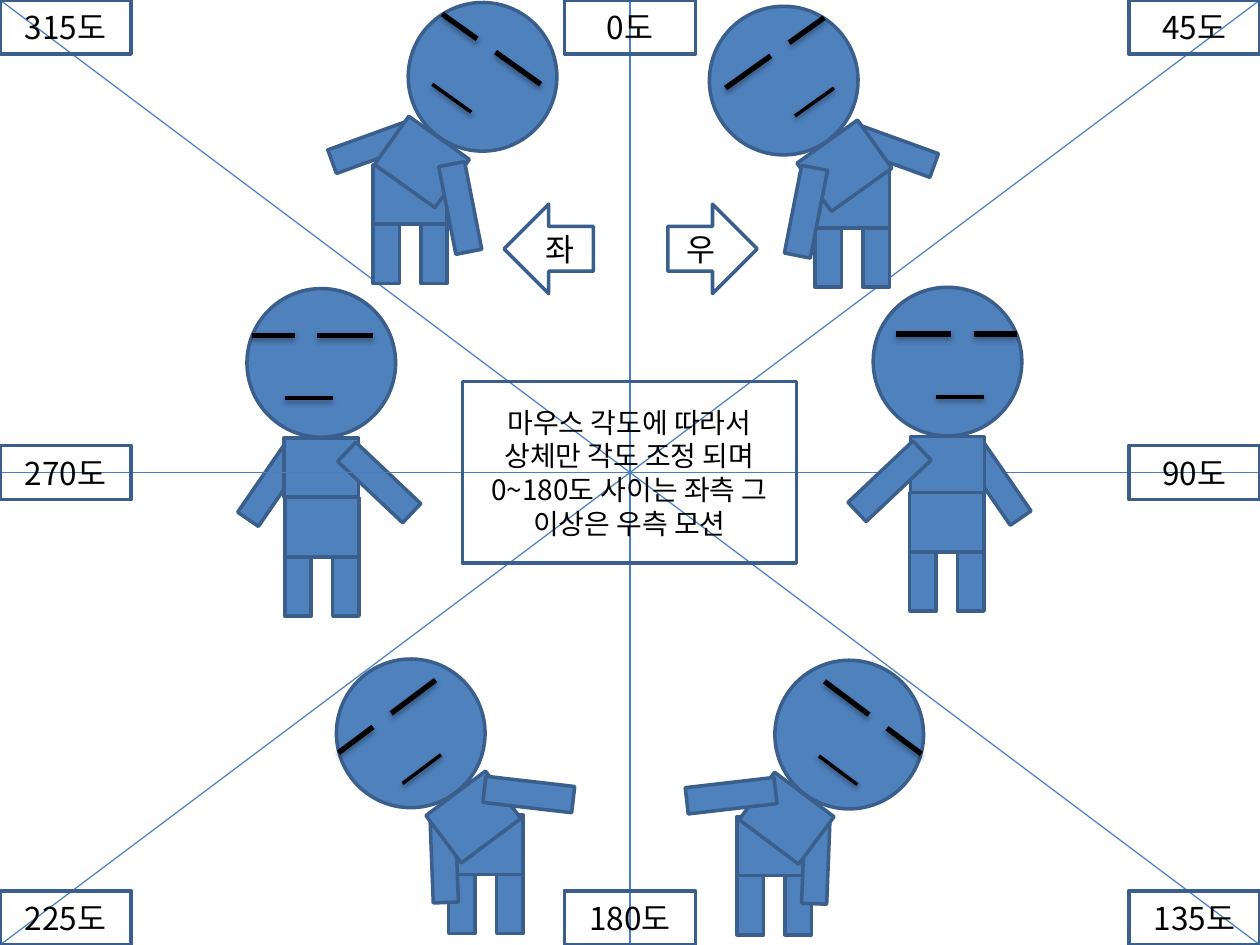
from dataclasses import dataclass
from math import cos, radians, sin

from lxml.etree import SubElement
from pptx import Presentation
from pptx.dml.color import RGBColor
from pptx.enum.shapes import MSO_CONNECTOR, MSO_SHAPE
from pptx.enum.text import MSO_ANCHOR, PP_ALIGN
from pptx.oxml.ns import qn
from pptx.util import Inches, Pt

Point = tuple[float, float]


@dataclass(frozen=True)
class Theme:
    white: str = "FFFFFF"
    black: str = "000000"
    skin: str = "4F81BD"
    edge: str = "3A5F8C"
    ray: str = "4B7EBC"
    font: str = "Noto Sans CJK KR"
    label: int = 18
    note: int = 16
    border: float = 2
    thin: float = 0.75


@dataclass(frozen=True)
class Part:
    """A piece of the upper body, placed from the head's centre."""
    kind: int
    mid: Point
    size: Point
    turn: float = 0


@dataclass(frozen=True)
class Stroke:
    """A line on the face, placed from the head's centre."""
    start: Point
    end: Point
    width: float
    alpha: int
    drop: float


@dataclass(frozen=True)
class Figure:
    head: Point
    hip: Point
    tilt: float
    side: int  # 1, or -1 when mirrored
    hip_last: bool = False


@dataclass(frozen=True)
class Label:
    angle: int
    col: int
    row: int


theme = Theme()
WIDE, HIGH = 10, 7.5
BOX = (1.04, 0.43)
TRUNK = (0.59, 0.47)
LEG = (0.21, 0.47)

# Upper body, from back to front
UPPER = [
    Part(MSO_SHAPE.RECTANGLE, (-0.38, 0.95), (0.2, 0.71), 34.6),
    Part(MSO_SHAPE.OVAL, (0, 0), (1.18, 1.18)),
    Part(MSO_SHAPE.RECTANGLE, (0, 0.83), TRUNK),
    Stroke((-0.55, -0.22), (-0.21, -0.22), 3, 35, 1.8),
    Stroke((-0.29, 0.28), (0.09, 0.28), 2, 38, 1.6),
    Stroke((-0.03, -0.22), (0.41, -0.22), 3, 35, 1.8),
    Part(MSO_SHAPE.RECTANGLE, (0.46, 0.95), (0.21, 0.71), -46.6),
]

FIRST = Figure((2.55, 2.88), (2.26, 3.95), 0, 1)
OTHERS = [
    Figure((7.52, 2.87), (7.22, 3.91), 0, -1, True),
    Figure((3.83, 0.61), (2.96, 1.31), 35.5, 1),
    Figure((6.22, 0.64), (6.47, 1.34), 35.5, -1),
    Figure((3.26, 5.82), (3.56, 6.47), -36.8, 1),
    Figure((6.74, 5.83), (5.85, 6.48), -36.8, -1),
]
RAYS = [((5, 0), (5, HIGH)), ((0, 0), (WIDE, HIGH)),
        ((WIDE, 0), (0, HIGH)), ((0, 3.75), (WIDE, 3.75))]
LABELS = [Label(0, 1, 0), Label(45, 2, 0), Label(90, 2, 1), Label(135, 2, 2),
          Label(180, 1, 2), Label(225, 0, 2), Label(270, 0, 1), Label(315, 0, 0)]


def color(code: str) -> RGBColor:
    return RGBColor.from_string(code)


def add_shape(shapes, kind: int, spot: Point, size: Point,
              fill: str | None = None, edge: str = theme.edge, turn: float = 0):
    shape = shapes.add_shape(kind, *map(Inches, (*spot, *size)))
    shape.shadow.inherit = False
    if fill:
        shape.fill.solid()
        shape.fill.fore_color.rgb = color(fill)
    else:
        shape.fill.background()
    shape.line.color.rgb = color(edge)
    shape.line.width = Pt(theme.border)
    shape.rotation = turn % 360
    return shape


def add_text(shape, words: str, size: int) -> None:
    frame = shape.text_frame
    frame.word_wrap = True
    frame.vertical_anchor = MSO_ANCHOR.MIDDLE
    para = frame.paragraphs[0]
    para.alignment = PP_ALIGN.CENTER
    run = para.add_run()
    run.text = words
    run.font.size = Pt(size)
    run.font.color.rgb = color(theme.black)
    run.font.name = theme.font
    SubElement(run.font._element, qn("a:ea"), typeface=theme.font)


def add_line(shapes, start: Point, end: Point, tone: str, width: float):
    """Draw a line and return its effect list, which is empty."""
    line = shapes.add_connector(MSO_CONNECTOR.STRAIGHT, *map(Inches, (*start, *end)))
    line.line.color.rgb = color(tone)
    line.line.width = Pt(width)
    return SubElement(line._element.spPr, qn("a:effectLst"))


def add_shade(effects, alpha: int, drop: float) -> None:
    shade = SubElement(effects, qn("a:outerShdw"), blurRad=str(Pt(3.1)),
                       dist=str(Pt(drop)), dir="5400000", rotWithShape="0")
    tone = SubElement(shade, qn("a:srgbClr"), val=theme.black)
    SubElement(tone, qn("a:alpha"), val=str(alpha * 1000))


def place(man: Figure, spot: Point) -> Point:
    """Tilt a point about the head and mirror it if needed."""
    x, y = spot
    turn = radians(man.tilt)
    return (man.head[0] + man.side * (x * cos(turn) - y * sin(turn)),
            man.head[1] + x * sin(turn) + y * cos(turn))


def add_lower(shapes, man: Figure) -> None:
    group = shapes.add_group_shape().shapes
    x, y = man.hip
    for dx, dy, size in ((0, 0, TRUNK), (0, 0.47, LEG), (0.38, 0.47, LEG)):
        add_shape(group, MSO_SHAPE.RECTANGLE, (x + dx, y + dy), size, theme.skin)


def add_upper(shapes, man: Figure) -> None:
    group = shapes.add_group_shape().shapes
    for item in UPPER:
        if isinstance(item, Stroke):
            effects = add_line(group, place(man, item.start), place(man, item.end),
                               theme.black, item.width)
            add_shade(effects, item.alpha, item.drop)
        else:
            x, y = place(man, item.mid)
            wide, high = item.size
            add_shape(group, item.kind, (x - wide / 2, y - high / 2), item.size,
                      theme.skin, turn=man.side * (item.turn + man.tilt))


def add_figure(shapes, man: Figure) -> None:
    steps = (add_upper, add_lower) if man.hip_last else (add_lower, add_upper)
    for step in steps:
        step(shapes, man)


deck = Presentation()
deck.slide_width, deck.slide_height = Inches(WIDE), Inches(HIGH)
shapes = deck.slides.add_slide(deck.slide_layouts[6]).shapes

# Backdrop and arrows
add_shape(shapes, MSO_SHAPE.RECTANGLE, (0, 0), (WIDE, HIGH), theme.white, theme.white)
for kind, left, word in ((MSO_SHAPE.RIGHT_ARROW, 5.3, "우"),
                         (MSO_SHAPE.LEFT_ARROW, 4, "좌")):
    arrow = add_shape(shapes, kind, (left, 1.62), (0.71, 0.71))
    add_text(arrow, word, theme.label)

# Rays pass over the first figure only
add_figure(shapes, FIRST)
for start, end in RAYS:
    add_line(shapes, start, end, theme.ray, theme.thin)

# Angle labels around the edge
for label in LABELS:
    spot = (label.col * (WIDE - BOX[0]) / 2, label.row * (HIGH - BOX[1]) / 2)
    add_text(add_shape(shapes, MSO_SHAPE.RECTANGLE, spot, BOX),
             f"{label.angle}도", theme.label)

for man in OTHERS:
    add_figure(shapes, man)

# Note in the middle
note = add_shape(shapes, MSO_SHAPE.RECTANGLE, (3.67, 3.03), (2.65, 1.44))
add_text(note, "마우스 각도에 따라서 상체만 각도 조정 되며 "
               "0~180도 사이는 좌측 그 이상은 우측 모션", theme.note)

deck.save("out.pptx")
